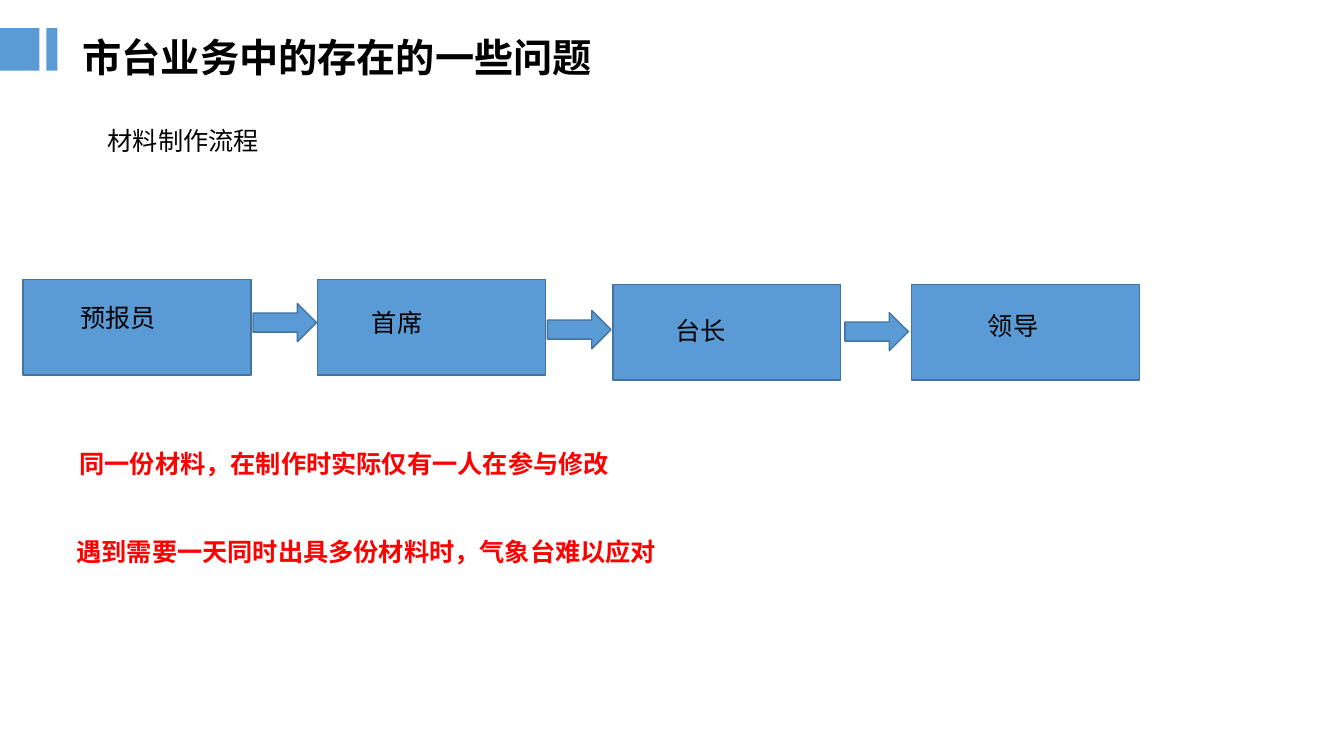
import pptx
import pptx.util
import pptx.dml.color
import pptx.enum.shapes
import pptx.enum.text
import pptx.oxml
import pptx.oxml.ns
import lxml.etree

PX = 9144
COLORS = {"blue": "5B9BD5", "edge": "43739E", "ink": "000000", "alert": "FF0000"}
LATIN_FONT = "Calibri"
CJK_FONT = "Noto Sans CJK SC"
RECTANGLE = pptx.enum.shapes.MSO_SHAPE.RECTANGLE
RIGHT_ARROW = pptx.enum.shapes.MSO_SHAPE.RIGHT_ARROW


def emu(*lengths):
    return [pptx.util.Emu(length * PX) for length in lengths]


def rgb(name):
    return pptx.dml.color.RGBColor.from_string(COLORS[name])


def style_text(frame, text, size=18, color="ink", bold=False, font=LATIN_FONT):
    frame.text = text
    frame.word_wrap = True
    frame.vertical_anchor = pptx.enum.text.MSO_ANCHOR.TOP
    paragraph = frame.paragraphs[0]
    paragraph.alignment = pptx.enum.text.PP_ALIGN.LEFT
    run = paragraph.runs[0]
    run.font.name = font
    run.font.size = pptx.util.Pt(size)
    run.font.bold = bold
    run.font.color.rgb = rgb(color)
    east_asian = lxml.etree.SubElement(run.font._element, pptx.oxml.ns.qn("a:ea"))
    east_asian.set("typeface", CJK_FONT)


def add_text(slide, box, text, **style):
    style_text(slide.shapes.add_textbox(*emu(*box)).text_frame, text, **style)


def add_block(slide, kind, box, edged=True):
    block = slide.shapes.add_shape(kind, *emu(*box))
    block.shadow.inherit = False
    block.fill.solid()
    block.fill.fore_color.rgb = rgb("blue")
    if edged:
        block.line.color.rgb = rgb("edge")
        block.line.width = pptx.util.Pt(1)
    else:
        block.line.fill.background()


def build_header(slide, box):
    left, top, width, height = box
    for offset, bar_width in ((0, 39), (46, 11)):
        add_block(slide, RECTANGLE, (left + offset, top, bar_width, 42), edged=False)
    title = slide.shapes.title
    title.left, title.top, title.width, title.height = emu(left + 66, top, width - 66, height)
    style_text(title.text_frame, "市台业务中的存在的一些问题", size=28, bold=True, font=CJK_FONT)
    title.text_frame.auto_size = pptx.enum.text.MSO_AUTO_SIZE.NONE
    title.text_frame.margin_left = emu(16)[0]


def build_flow(slide, box):
    left, top, step_width, step_height = box
    steps = (
        ("预报员", 0, 0, 47, 18, 135),
        ("首席", 292, 0, 44, 23, 173),
        ("台长", 585, 5, 52, 26, 130),
        ("领导", 881, 5, 66, 21, 118),
    )
    for role, x, y, label_x, label_y, label_width in steps:
        add_block(slide, RECTANGLE, (left + x, top + y, step_width, step_height))
        label_box = (left + x + label_x, top + y + label_y, label_width, 40)
        add_text(slide, label_box, role)
    for x, y in ((228, 24), (520, 31), (815, 33)):
        add_block(slide, RIGHT_ARROW, (left + x, top + y, 63, 38))


def build_conclusions(slide, box):
    left, top, width, height = box
    conclusions = (
        ("同一份材料，在制作时实际仅有一人在参与修改", 3, 0),
        ("遇到需要一天同时出具多份材料时，气象台难以应对", 0, 87),
    )
    for conclusion, x, y in conclusions:
        add_text(slide, (left + x, top + y, width, height), conclusion, color="alert", bold=True)


def main():
    deck = pptx.Presentation()
    deck.slide_width, deck.slide_height = emu(1333, 750)
    slide = deck.slides.add_slide(deck.slide_layouts.get_by_name("Title Only"))
    build_header(slide, (0, 28, 946, 57))
    add_text(slide, (97, 119, 193, 40), "材料制作流程")
    build_flow(slide, (23, 277, 226, 95))
    build_conclusions(slide, (66, 440, 752, 40))
    deck.save("out.pptx")


if __name__ == "__main__":
    main()
